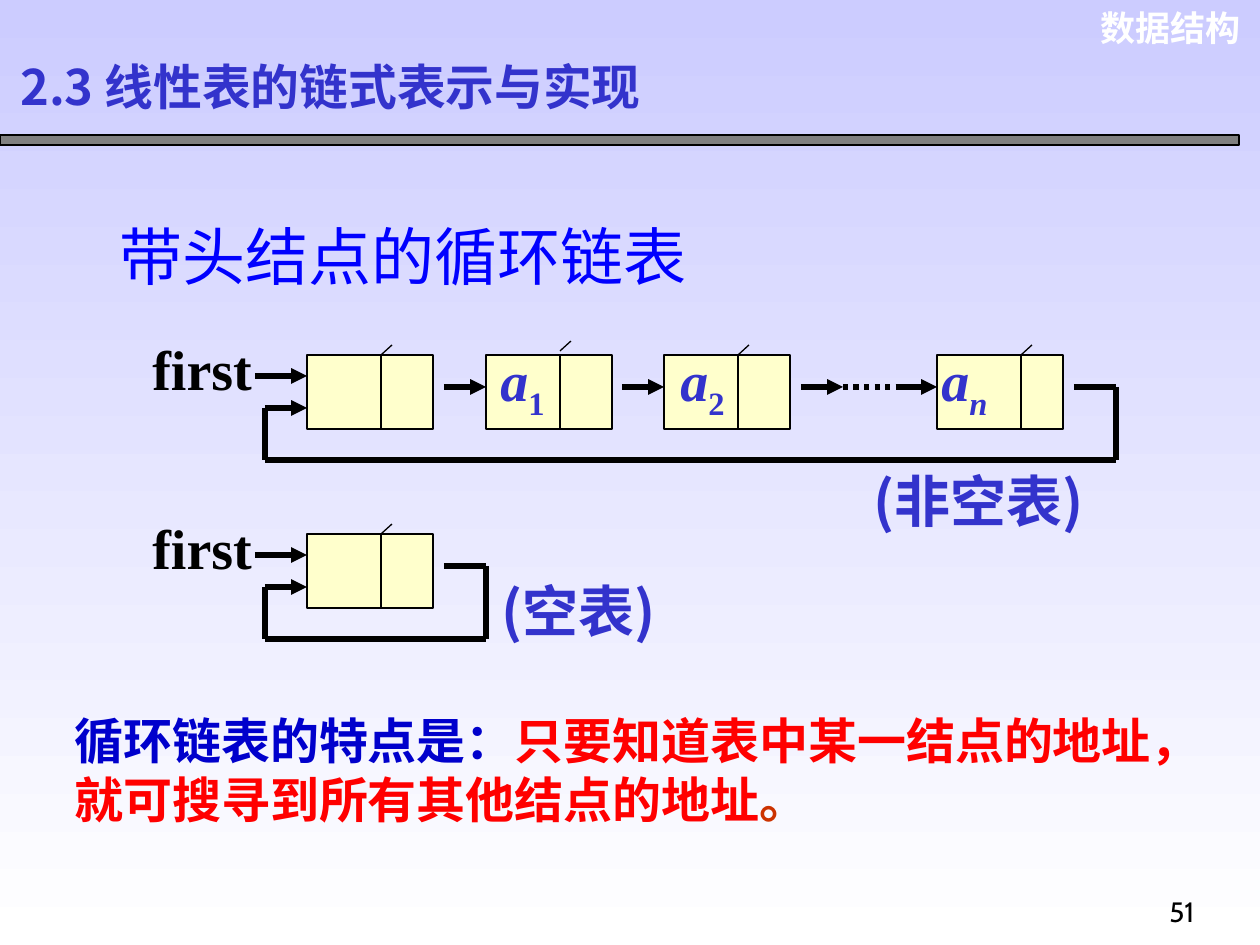
from dataclasses import dataclass

from lxml import etree
from pptx import Presentation
from pptx.dml.color import RGBColor
from pptx.enum.dml import MSO_LINE
from pptx.enum.shapes import MSO_CONNECTOR, MSO_SHAPE
from pptx.enum.text import MSO_ANCHOR, MSO_AUTO_SIZE, PP_ALIGN
from pptx.oxml.ns import qn
from pptx.util import Emu, Pt

STRAIGHT, RECTANGLE = MSO_CONNECTOR.STRAIGHT, MSO_SHAPE.RECTANGLE
DOTTED = MSO_LINE.ROUND_DOT
MIDDLE, TOP = MSO_ANCHOR.MIDDLE, MSO_ANCHOR.TOP
LEFT, RIGHT = PP_ALIGN.LEFT, PP_ALIGN.RIGHT
GROW, FIXED = MSO_AUTO_SIZE.SHAPE_TO_FIT_TEXT, MSO_AUTO_SIZE.NONE
PX_PER_INCH = 126
NODE_WIDTH, NODE_HEIGHT = 126, 74


@dataclass(frozen=True)
class Theme:
    sky: str = "CCCCFF"
    white: str = "FFFFFF"
    black: str = "000000"
    gray: str = "808080"
    cream: str = "FFFFCC"
    indigo: str = "3333CC"
    blue: str = "0000FF"
    navy: str = "0000CC"
    red: str = "FF0000"
    rust: str = "CC3300"
    serif: str = "Times New Roman"
    cjk: str = "Noto Sans CJK SC"
    sans: str = "Arial"
    number_font: str = "Cabin"
    heading: float = 36
    label: float = 32
    summary: float = 28
    title: float = 27.9
    course: float = 20
    number: float = 16
    thin: float = 0.75
    thick: float = 3


@dataclass(frozen=True)
class Span:
    text: str
    color: str
    italic: bool = False
    subscript: bool = False


@dataclass(frozen=True)
class Node:
    left: int
    divider: int = 74
    tick_rise: int = 0


@dataclass(frozen=True)
class CircularList:
    top: int
    nodes: tuple[Node, ...]
    return_x: int


THEME = Theme()
LISTS = (
    CircularList(355, (Node(307), Node(486, tick_rise=4), Node(664), Node(937, divider=84)), 1116),
    CircularList(534, (Node(307),), 486),
)


def px(length: int) -> Emu:
    return Emu(round(length * 914400 / PX_PER_INCH))


def rgb(value: str) -> RGBColor:
    return RGBColor.from_string(value)


def add_text(slide, box: tuple[int, int, int, int], *paragraphs: tuple[Span, ...],
             size: float, font: str = THEME.serif, bold: bool = True, wrap: bool = False,
             fit: MSO_AUTO_SIZE = GROW, align: PP_ALIGN = LEFT, anchor: MSO_ANCHOR = TOP,
             spacing: float = 1.0, before: float = 0) -> None:
    frame = slide.shapes.add_textbox(*map(px, box)).text_frame
    frame.word_wrap, frame.auto_size, frame.vertical_anchor = wrap, fit, anchor
    for index, spans in enumerate(paragraphs):
        paragraph = frame.add_paragraph() if index else frame.paragraphs[0]
        paragraph.alignment, paragraph.line_spacing = align, spacing
        paragraph.space_before = Pt(before)
        for span in spans:
            run = paragraph.add_run()
            run.text = span.text
            run.font.size, run.font.name = Pt(size), font
            run.font.bold, run.font.italic = bold, span.italic
            run.font.color.rgb = rgb(span.color)
            properties = run.font._element
            etree.SubElement(properties, qn("a:ea")).set("typeface", THEME.cjk)
            if span.subscript:
                properties.set("baseline", "-25000")


def add_box(slide, box: tuple[int, int, int, int], fill: str) -> None:
    rectangle = slide.shapes.add_shape(RECTANGLE, *map(px, box))
    rectangle.shadow.inherit = False
    rectangle.fill.solid()
    rectangle.fill.fore_color.rgb = rgb(fill)
    rectangle.line.color.rgb = rgb(THEME.black)
    rectangle.line.width = Pt(THEME.thin)


def add_line(slide, start: tuple[int, int], end: tuple[int, int], width: float = THEME.thick,
             arrow: bool = False, dotted: bool = False) -> None:
    connector = slide.shapes.add_connector(STRAIGHT, *map(px, start + end))
    connector.line.color.rgb = rgb(THEME.black)
    connector.line.width = Pt(width)
    if dotted:
        connector.line.dash_style = DOTTED
    if arrow:
        outline = connector.line._get_or_add_ln()
        etree.SubElement(outline, qn("a:tailEnd")).set("type", "triangle")
    etree.SubElement(connector._element.spPr, qn("a:effectLst"))


def add_node(slide, node: Node, top: int) -> None:
    add_box(slide, (node.left, top, NODE_WIDTH, NODE_HEIGHT), THEME.cream)
    divider = node.left + node.divider
    tick = top - node.tick_rise
    add_line(slide, (divider, top), (divider, top + NODE_HEIGHT), THEME.thin)
    add_line(slide, (divider, tick), (divider + 11, tick - 10), THEME.thin)


def add_circular_list(slide, ring: CircularList) -> None:
    for node in ring.nodes:
        add_node(slide, node, ring.top)
    head = ring.nodes[0].left
    exit_x = ring.nodes[-1].left + NODE_WIDTH + 11
    entry_y, link_y, back_y, bottom = (ring.top + drop for drop in (21, 32, 53, 105))
    add_line(slide, (255, entry_y), (head, entry_y), arrow=True)
    loop = ((exit_x, link_y), (ring.return_x, link_y), (ring.return_x, bottom),
            (head - 42, bottom), (head - 42, back_y), (head, back_y))
    for start, end in zip(loop, loop[1:]):
        add_line(slide, start, end, arrow=end == loop[-1])
    add_text(slide, (140, ring.top - 27, 125, 81), (Span("first", THEME.black),), size=THEME.label)


def add_links(slide, y: int) -> None:
    for start, end in ((444, 486), (622, 664), (801, 843), (896, 937)):
        add_line(slide, (start, y), (end, y), arrow=True)
    add_line(slide, (843, y), (906, y), dotted=True)


def main() -> None:
    """Build the slide on circular linked lists with a head node."""
    deck = Presentation()
    deck.slide_width, deck.slide_height = px(1260), px(945)
    slide = deck.slides.add_slide(deck.slide_layouts[6])
    backdrop = slide.background.fill
    backdrop.gradient()
    backdrop.gradient_angle = 270
    for stop, color in zip(backdrop.gradient_stops, (THEME.sky, THEME.white)):
        stop.color.rgb = rgb(color)

    add_text(slide, (1080, 0, 173, 55), (Span("数据结构", THEME.white),), size=THEME.course,
             font=THEME.sans, wrap=True, align=RIGHT, before=12.5)
    add_box(slide, (0, 135, 1239, 10), THEME.gray)
    add_text(slide, (8, 55, 1071, 73), (Span("2.3 线性表的链式表示与实现", THEME.indigo),),
             size=THEME.title, font=THEME.cjk, wrap=True, fit=FIXED, anchor=MIDDLE, spacing=0.8)
    add_text(slide, (107, 208, 1071, 410), (Span("带头结点的循环链表", THEME.blue),),
             size=THEME.heading, bold=False, wrap=True, fit=FIXED, spacing=1.05, before=4)

    for ring in LISTS:
        add_circular_list(slide, ring)
    add_links(slide, LISTS[0].top + 32)
    for left, width, index in ((488, 82, "1"), (668, 69, "2"), (929, 71, "n")):
        add_text(slide, (left, 339, width, 89),
                 (Span("a", THEME.indigo, italic=True),
                  Span(index, THEME.indigo, italic=index == "n", subscript=True)),
                 size=THEME.label)
    for box, caption in (((861, 460, 287, 81), "(非空表)"), ((489, 570, 232, 81), "(空表)")):
        add_text(slide, box, (Span(caption, THEME.indigo),), size=THEME.label, font=THEME.cjk)

    add_text(slide, (62, 704, 1150, 131),
             (Span("循环链表的特点是：", THEME.navy), Span("只要知道表中某一结点的地址，", THEME.red)),
             (Span("就可搜寻到所有其他结点的地址", THEME.red), Span("。", THEME.rust)),
             size=THEME.summary)
    add_text(slide, (1157, 888, 159, 53), (Span("51", THEME.black),), size=THEME.number,
             font=THEME.number_font, bold=False, before=10)
    deck.save("out.pptx")


if __name__ == "__main__":
    main()
